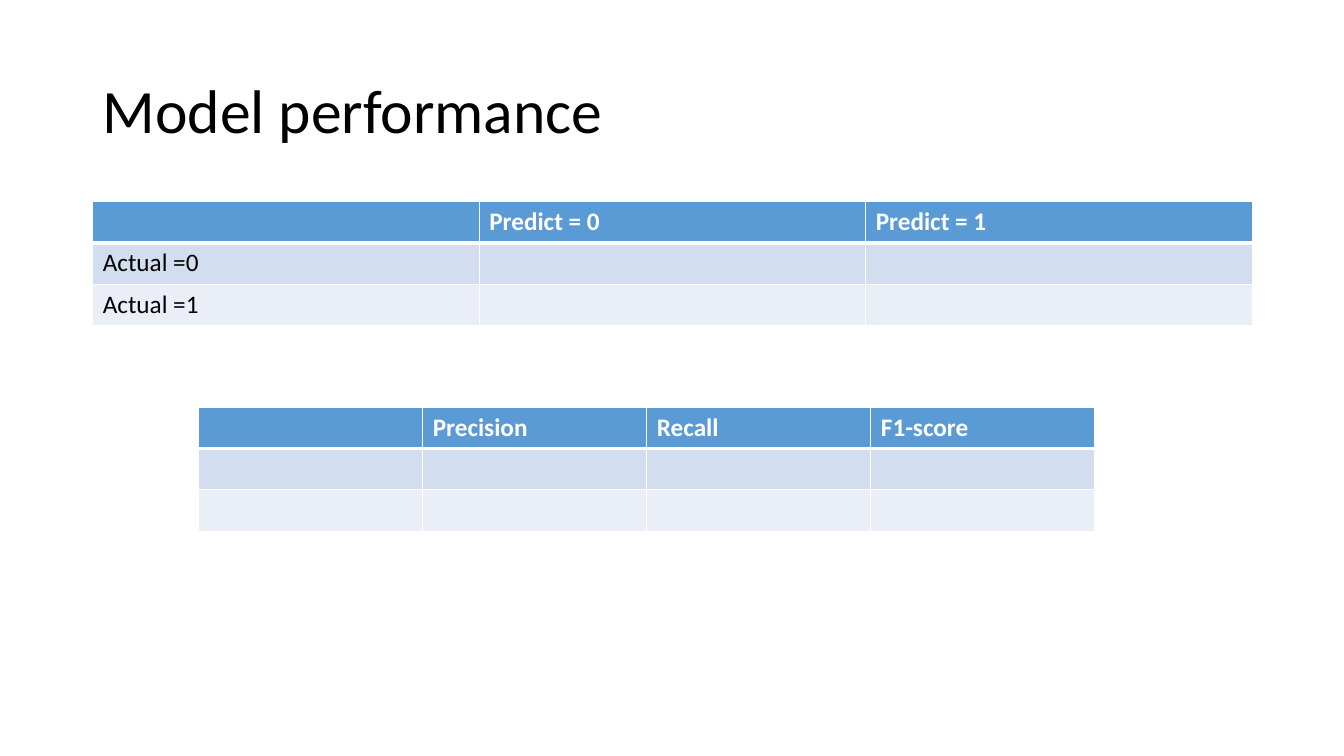
from pptx import Presentation
from pptx.dml.color import RGBColor
from pptx.enum.text import MSO_ANCHOR
from pptx.oxml import parse_xml
from pptx.oxml.ns import nsdecls
from pptx.util import Inches, Pt


def rgb(value):
    """Turn a hex string into a colour."""
    return RGBColor.from_string(value)


class SlideBuilder:
    """Hold the style and the current slide."""

    font = "Calibri"
    black, white = "000000", "FFFFFF"
    header, bands = "5B9BD5", ("D2DEEF", "EAEFF7")
    row_height = 0.41

    def __init__(self, prs):
        """Add a blank slide."""
        self.s = prs.slides.add_slide(prs.slide_layouts[6])

    def style_text(self, p, text, size, color, bold=False):
        """Fill a paragraph with styled text."""
        p.text = text
        p.font.name, p.font.size, p.font.bold = self.font, Pt(size), bold
        p.font.color.rgb = rgb(color)

    def title(self, text, x, y, w, h):
        """Add the slide title."""
        tf = self.s.shapes.add_textbox(Inches(x), Inches(y), Inches(w), Inches(h)).text_frame
        tf.word_wrap = True
        tf.vertical_anchor = MSO_ANCHOR.MIDDLE
        self.style_text(tf.paragraphs[0], text, 44, self.black)
        tf.paragraphs[0].line_spacing = 0.9

    def borders(self, cell, **widths):
        """Draw white cell borders with widths in points."""
        tcPr = cell._tc.get_or_add_tcPr()
        for i, side in enumerate("LRTB"):
            tcPr.insert(i, parse_xml(
                f'<a:ln{side} {nsdecls("a")} w="{Pt(widths.get(side, 1))}"><a:solidFill>'
                f'<a:srgbClr val="{self.white}"/></a:solidFill></a:ln{side}>'))

    def table(self, rows, x, y, w):
        """Add a banded table with equal columns and a header row."""
        n = len(rows[0])
        tbl = self.s.shapes.add_table(len(rows), n, Inches(x), Inches(y), Inches(w),
                                      Inches(self.row_height * len(rows))).table
        for col in tbl.columns:
            col.width = Inches(w / n)
        for i, row in enumerate(rows):
            tbl.rows[i].height = Inches(self.row_height)
            for j, text in enumerate(row):
                cell = tbl.cell(i, j)
                cell.fill.solid()
                cell.fill.fore_color.rgb = rgb(self.bands[(i - 1) % 2] if i else self.header)
                self.borders(cell, B=1 if i else 3, T=3 if i == 1 else 1)
                self.style_text(cell.text_frame.paragraphs[0], text, 18,
                                self.black if i else self.white, bold=i == 0)


def main():
    """Build the slide and save it."""
    prs = Presentation()
    prs.slide_width, prs.slide_height = Inches(13.33), Inches(7.5)
    slide = SlideBuilder(prs)
    slide.title("Model performance", 0.92, 0.4, 11.5, 1.45)
    slide.table([["", "Predict = 0", "Predict = 1"],
                 ["Actual =0", "", ""],
                 ["Actual =1", "", ""]], 0.92, 2, 11.5)
    slide.table([["", "Precision", "Recall", "F1-score"], [""] * 4, [""] * 4], 1.97, 4.04, 8.89)
    prs.save("out.pptx")


if __name__ == "__main__":
    main()
